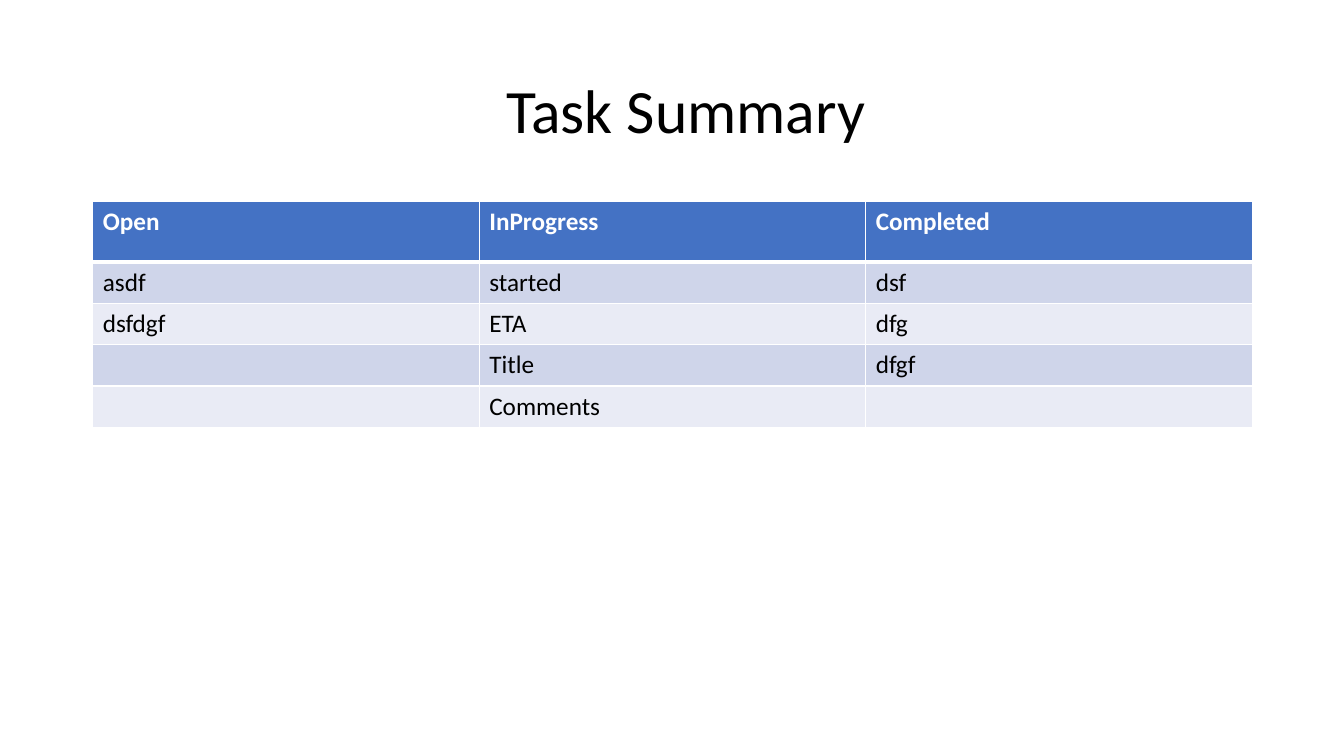
from dataclasses import dataclass

from lxml.etree import SubElement
from pptx import Presentation
from pptx.dml.color import RGBColor
from pptx.enum.text import MSO_ANCHOR
from pptx.oxml.ns import qn
from pptx.slide import Slide
from pptx.table import _Cell
from pptx.text.text import TextFrame
from pptx.util import Inches, Pt


@dataclass(frozen=True)
class Theme:
    """Colours, font and type sizes of the slide."""
    font: str = "Calibri"
    ink: str = "000000"
    white: str = "FFFFFF"
    head: str = "4472C4"
    bands: tuple[str, str] = ("CFD5EA", "E9EBF5")
    title: int = 44
    body: int = 18
    thin: float = 1
    thick: float = 3


@dataclass(frozen=True)
class Row:
    """One table row: its cell texts and its height in inches."""
    cells: tuple[str, str, str]
    height: float = 0.41


THEME = Theme()
LEFT, WIDTH = 0.92, 11.5
ROWS = [
    Row(("Open", "InProgress", "Completed"), 0.6),
    Row(("asdf", "started", "dsf")),
    Row(("dsfdgf", "ETA", "dfg")),
    Row(("", "Title", "dfgf")),
    Row(("", "Comments", "")),
]


def write(frame: TextFrame, text: str, *, size: int = THEME.body,
          color: str = THEME.ink, bold: bool = False,
          spacing: float = 1.0) -> None:
    """Put formatted text into the first paragraph of a frame."""
    para = frame.paragraphs[0]
    para.line_spacing = spacing
    para.font.size = Pt(size)
    if text:
        run = para.add_run()
        run.text = text
        font = run.font
        font.name, font.size, font.bold = THEME.font, Pt(size), bold
        font.color.rgb = RGBColor.from_string(color)


def edge(cell: _Cell, side: str, width: float) -> None:
    """Draw one white border of a cell."""
    props = cell._tc.get_or_add_tcPr()
    line = SubElement(props, qn(f"a:ln{side}"), w=str(Pt(width)))
    fill = SubElement(line, qn("a:solidFill"))
    SubElement(fill, qn("a:srgbClr"), val=THEME.white)


def add_title(slide: Slide, text: str) -> None:
    """Add the title, set in from the left by four inches."""
    box = slide.shapes.add_textbox(
        Inches(LEFT), Inches(0.4), Inches(WIDTH), Inches(1.45))
    frame = box.text_frame
    frame.word_wrap = True
    frame.vertical_anchor = MSO_ANCHOR.MIDDLE
    frame.margin_left = Inches(4.1)
    write(frame, text, size=THEME.title, spacing=0.9)


def add_tasks(slide: Slide, rows: list[Row]) -> None:
    """Add the task table with a header and banded rows."""
    count = len(rows[0].cells)
    table = slide.shapes.add_table(
        len(rows), count, Inches(LEFT), Inches(2), Inches(WIDTH),
        Inches(sum(row.height for row in rows))).table
    for col in table.columns:
        col.width = Inches(WIDTH / count)
    for r, row in enumerate(rows):
        table.rows[r].height = Inches(row.height)
        head = r == 0
        shade = THEME.head if head else THEME.bands[(r - 1) % 2]
        top = THEME.thick if r == 1 else THEME.thin
        base = THEME.thick if head else THEME.thin
        for c, text in enumerate(row.cells):
            cell = table.cell(r, c)
            for side, width in zip("LRTB", (THEME.thin, THEME.thin, top, base)):
                edge(cell, side, width)
            cell.fill.solid()
            cell.fill.fore_color.rgb = RGBColor.from_string(shade)
            write(cell.text_frame, text, bold=head,
                  color=THEME.white if head else THEME.ink)


def main() -> None:
    """Build and save the slide."""
    deck = Presentation()
    deck.slide_width, deck.slide_height = Inches(13.33), Inches(7.5)
    slide = deck.slides.add_slide(deck.slide_layouts[6])
    add_title(slide, "Task Summary")
    add_tasks(slide, ROWS)
    deck.save("out.pptx")


main()
